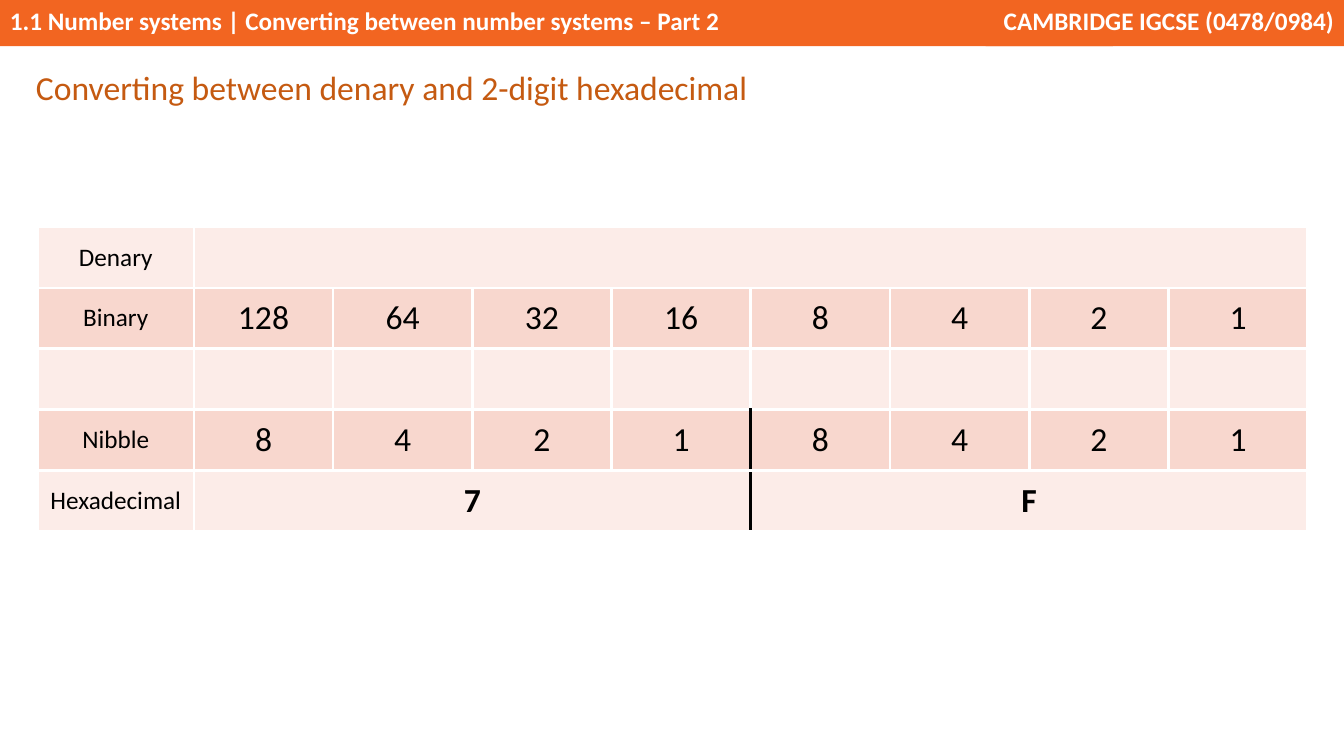
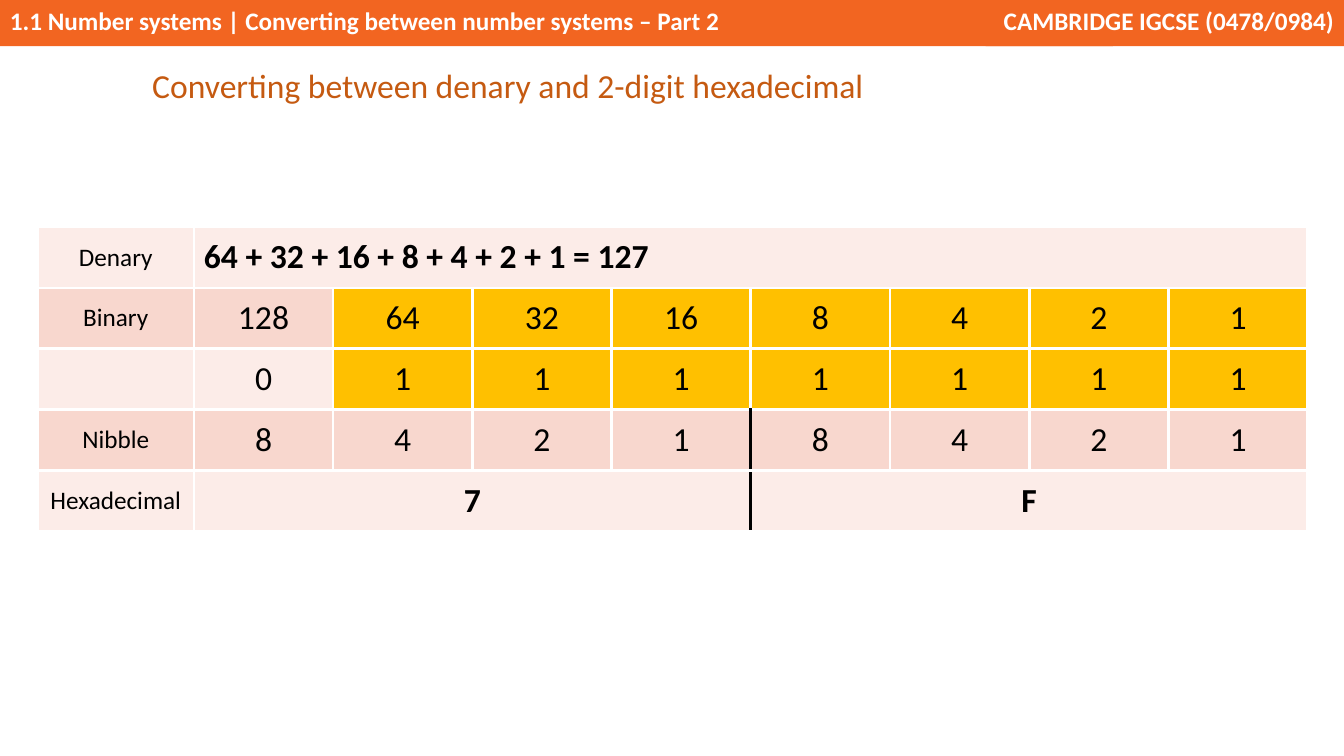
from dataclasses import dataclass

from lxml import etree
from pptx import Presentation
from pptx.dml.color import RGBColor
from pptx.enum.shapes import MSO_SHAPE
from pptx.enum.text import MSO_ANCHOR, MSO_AUTO_SIZE, PP_ALIGN
from pptx.oxml.ns import qn
from pptx.util import Pt

RECT = MSO_SHAPE.RECTANGLE
TOP, MID = MSO_ANCHOR.TOP, MSO_ANCHOR.MIDDLE
LEFT, MID_X, RIGHT = PP_ALIGN.LEFT, PP_ALIGN.CENTER, PP_ALIGN.RIGHT
FIXED = MSO_AUTO_SIZE.NONE


@dataclass(frozen=True)
class Theme:
    """Colours, font and type sizes of the deck."""
    band: str = "F26521"
    head: str = "C55A11"
    white: str = "FFFFFF"
    black: str = "000000"
    pale: str = "FCECE8"
    pink: str = "F8D7CE"
    gold: str = "FFC000"
    face: str = "Calibri"
    small: float = 18
    large: float = 24
    rule: float = 2.25


def put(item, **form):
    """Set each named format value on an item."""
    for key, value in form.items():
        setattr(item, key, value)


class Deck:
    """Holds the theme and the current slide."""

    def __init__(self, theme):
        """Start an empty wide deck."""
        self.theme = theme
        self.show = Presentation()
        put(self.show, slide_width=Pt(960), slide_height=Pt(540))
        self.slide = None

    def label(self, frame, text, size, color, bold=False, align=LEFT, **form):
        """Put one styled line of text in a frame."""
        line = frame.paragraphs[0]
        put(line, alignment=align, **form)
        run = line.add_run()
        run.text = text
        put(run.font, name=self.theme.face, size=Pt(size), bold=bold)
        run.font.color.rgb = RGBColor.from_string(color)

    def band(self, left, width, text, align):
        """Draw one part of the top band."""
        theme = self.theme
        box = self.slide.shapes.add_shape(RECT, Pt(left), 0, Pt(width), Pt(33))
        box.shadow.inherit = False
        box.fill.solid()
        box.fill.fore_color.rgb = RGBColor.from_string(theme.band)
        box.line.fill.background()
        put(box.text_frame, word_wrap=True, vertical_anchor=TOP)
        self.label(box.text_frame, text, theme.small, theme.white, True, align)

    def page(self, title, left, top):
        """Add a slide with its top band and title."""
        theme = self.theme
        self.slide = self.show.slides.add_slide(self.show.slide_layouts[5])
        self.band(0, 795, "1.1 Number systems | Converting between number systems – Part 2", LEFT)
        self.band(704, 256, "CAMBRIDGE IGCSE (0478/0984)", RIGHT)
        box = self.slide.shapes.title
        put(box, left=Pt(left), top=Pt(top), width=Pt(534), height=Pt(36.5))
        put(box.text_frame, word_wrap=True, auto_size=FIXED, vertical_anchor=TOP)
        self.label(box.text_frame, title, theme.large, theme.head,
                   line_spacing=1.07, space_after=Pt(8))

    def edge(self, cell, **sides):
        """Draw the four borders of a cell, white unless named."""
        props = cell._tc.get_or_add_tcPr()
        for side in "LRTB":
            line = etree.SubElement(props, qn(f"a:ln{side}"), w=str(Pt(self.theme.rule)))
            fill = etree.SubElement(line, qn("a:solidFill"))
            etree.SubElement(fill, qn("a:srgbClr"), val=sides.get(side, self.theme.white))

    def grid(self, rows, spans, marks=()):
        """Add the place value table, with gold on the marked cells."""
        theme = self.theme
        count, first, width, high = len(rows[0]), 111.6, 907.2, 43.45
        frame = self.slide.shapes.add_table(len(rows), count, Pt(26.9), Pt(162.2),
                                            Pt(width), Pt(high * len(rows)))
        table = frame.table
        put(table, first_row=False, horz_banding=False)
        for num, col in enumerate(table.columns):
            col.width = Pt((width - first) / (count - 1) if num else first)
        for row in table.rows:
            row.height = Pt(high)
        for row, start, end in spans:
            table.cell(row, start).merge(table.cell(row, end))
        for y, row in enumerate(rows):
            for x, text in enumerate(row):
                cell = table.cell(y, x)
                last = x + cell.span_width - 1
                split = {"R": last == 4, "L": x == 5}
                self.edge(cell, **{side: theme.black for side, on in split.items()
                                   if on and y >= 3})
                tint = theme.gold if (y, x) in marks else (theme.pale, theme.pink)[y % 2]
                cell.fill.solid()
                cell.fill.fore_color.rgb = RGBColor.from_string(tint)
                cell.vertical_anchor = MID
                if text:
                    self.label(cell.text_frame, text, theme.large if x else theme.small,
                               theme.black, bool(x) and y in (0, 4),
                               LEFT if x and y == 0 else MID_X)


def table_rows(total="", bits=("",) * 8):
    """Build the table text for a sum and its eight bits."""
    return [
        ["Denary", total] + [""] * 7,
        ["Binary"] + [str(2 ** n) for n in range(7, -1, -1)],
        ["", *bits],
        ["Nibble"] + [str(2 ** n) for n in range(3, -1, -1)] * 2,
        ["Hexadecimal", "7", "", "", "", "F", "", "", ""],
    ]


def main():
    """Build and save both slides."""
    deck = Deck(Theme())
    title = "Converting between denary and 2-digit hexadecimal"
    spans = [(0, 1, 8), (4, 1, 4), (4, 5, 8)]
    bits = "01111111"
    marks = {(y, x) for y in (1, 2) for x, bit in enumerate(bits, 1) if bit == "1"}
    deck.page(title, 18.5, 42)
    deck.grid(table_rows(), spans)
    deck.page(title, 101.5, 41)
    deck.grid(table_rows("64 + 32 + 16 + 8 + 4 + 2 + 1 = 127", bits), spans, marks)
    deck.show.save("out.pptx")


if __name__ == "__main__":
    main()
